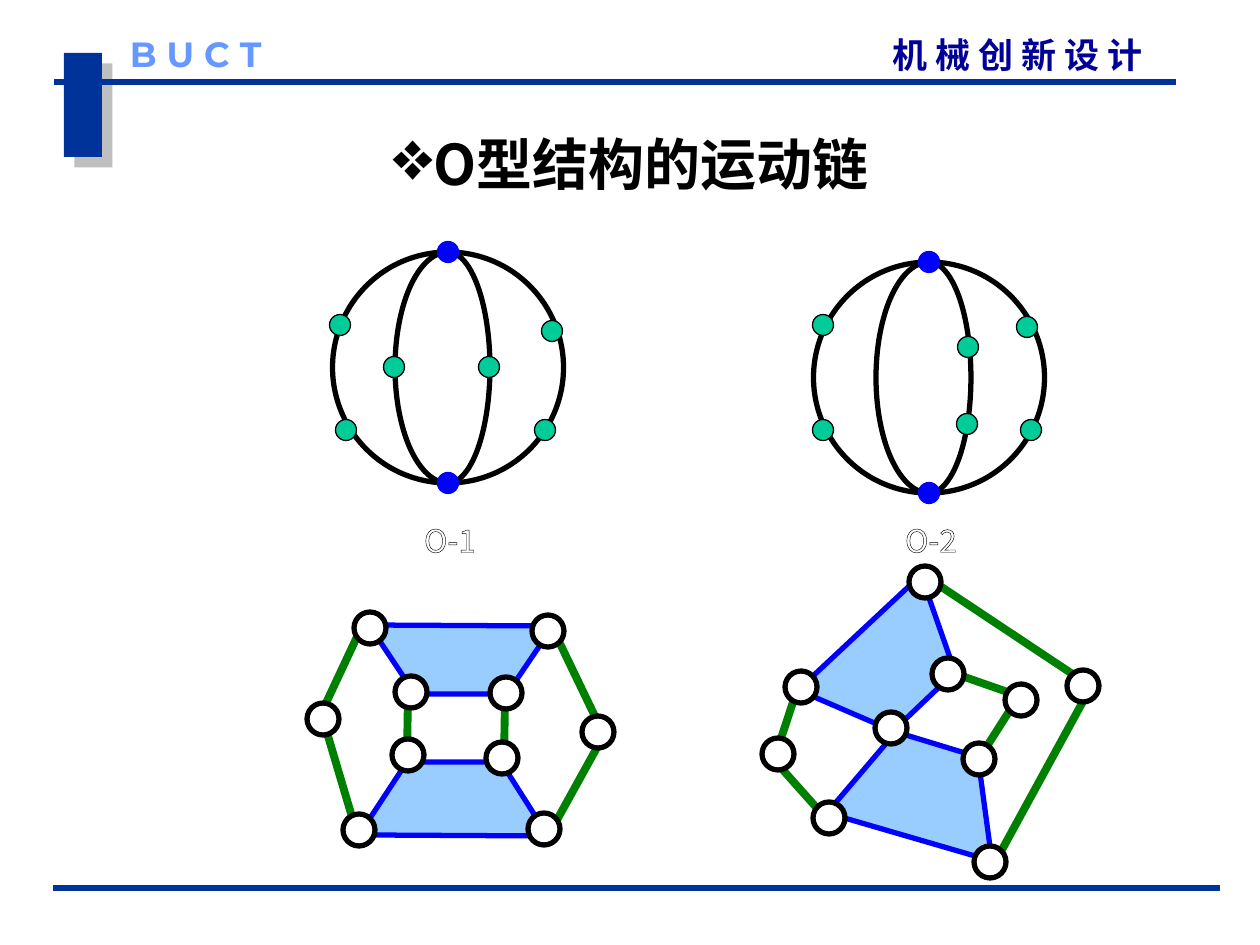
"""Build the slide on kinematic chains of the O-type structure."""
from lxml import etree
from pptx import Presentation
from pptx.dml.color import RGBColor
from pptx.enum.shapes import MSO_CONNECTOR as MC, MSO_SHAPE as MS
from pptx.enum.text import MSO_ANCHOR as MA, PP_ALIGN as PA
from pptx.oxml import parse_xml
from pptx.oxml.ns import nsdecls, qn
from pptx.util import Pt

PX = 914400 / 126
COLORS = {
    "navy": "003399", "header": "000099", "sky": "6699FF", "black": "000000",
    "white": "FFFFFF", "blue": "0000FF", "teal": "00CC99", "body": "99CCFF",
    "green": "008000", "shadow": "808080",
}
RGB = {name: RGBColor.from_string(value) for name, value in COLORS.items()}
CJK = "Noto Sans CJK SC"


def emu(*lengths):
    return [round(v * PX) for v in lengths]


def style(s, fill, line, width):
    if hasattr(s, "fill"):
        s.shadow.inherit = False
        if fill:
            s.fill.solid()
            s.fill.fore_color.rgb = RGB[fill]
        else:
            s.fill.background()
    else:
        etree.SubElement(s._element.spPr, qn("a:effectLst"))
    if line:
        s.line.color.rgb = RGB[line]
        s.line.width = Pt(width)
    else:
        s.line.fill.background()


prs = Presentation()
prs.slide_width, prs.slide_height = emu(1260, 945)
slide = prs.slides.add_slide(prs.slide_layouts[6])
shapes = slide.shapes

s = shapes.add_shape(MS.RECTANGLE, *emu(64, 53, 38, 104))
style(s, "navy", None, 0)
s._element.spPr.find(qn("a:effectLst")).append(parse_xml(
    f'<a:outerShdw {nsdecls("a")} dist="{Pt(8.5)}" dir="2700000" algn="ctr" rotWithShape="0">'
    f'<a:srgbClr val="{COLORS["shadow"]}"><a:alpha val="50000"/></a:srgbClr></a:outerShdw>'))

texts = [
    ("机 械 创 新 设 计", (893, 33, 300, 42), 20, CJK, "header", True, PA.LEFT),
    ("B U C T", (130, 32, 179, 42), 20, "Montserrat", "sky", True, PA.LEFT),
    ("O型结构的运动链", (64, 84, 1134, 158), 32, CJK, "black", True, PA.CENTER),
    ("O-1", (400, 521, 100, 46), 18, CJK, "white", False, PA.CENTER),
    ("O-2", (881, 521, 100, 46), 18, CJK, "white", False, PA.CENTER),
]
for text, box, size, font, color, bold, align in texts:
    tf = shapes.add_textbox(*emu(*box)).text_frame
    tf.margin_left = tf.margin_right = tf.margin_top = tf.margin_bottom = 0
    tf.word_wrap = True
    tf.text = text
    p = tf.paragraphs[0]
    p.alignment = align
    if size == 32:
        tf.vertical_anchor = MA.MIDDLE
        pPr = p._p.get_or_add_pPr()
        pPr.set("marL", "0")
        pPr.set("indent", "0")
        bu_color = etree.SubElement(pPr, qn("a:buClr"))
        etree.SubElement(bu_color, qn("a:srgbClr"), val=COLORS["black"])
        etree.SubElement(pPr, qn("a:buSzPct"), val="125000")
        etree.SubElement(pPr, qn("a:buChar"), char="❖")
    r = p.runs[0]
    r.font.size = Pt(size)
    r.font.name = font
    r.font.bold = bold
    r.font.color.rgb = RGB[color]
    rPr = r._r.get_or_add_rPr()
    rPr.find(qn("a:latin")).addnext(rPr.makeelement(qn("a:ea"), {"typeface": font}))
    if color == "white":
        rPr.insert(0, parse_xml(
            f'<a:ln {nsdecls("a")} w="{Pt(0.75)}"><a:solidFill>'
            f'<a:srgbClr val="{COLORS["black"]}"/></a:solidFill></a:ln>'))

graphs = [
    (448, 252, [(489, 367), (394, 367), (545, 430), (552, 331), (346, 430), (340, 325)]),
    (929, 262, [(1031, 430), (1027, 327), (967, 424), (968, 347), (823, 430), (823, 325)]),
]
diameter, dot = 231, 21
for cx, top, greens in graphs:
    s = shapes.add_shape(MS.OVAL, *emu(cx - diameter / 2, top, diameter, diameter))
    style(s, "white", "black", 3)
    for radius, start, end in [(42, 162, 54), (53, 54, 162)]:
        s = shapes.add_shape(MS.ARC, *emu(cx - radius, top, 2 * radius, diameter))
        s.adjustments[0], s.adjustments[1] = start, end
        style(s, None, "black", 3)
    poles = [(cx, top), (cx, top + diameter)]
    for dots, fill, line in [(poles, "blue", "blue"), (greens, "teal", "black")]:
        for x, y in dots:
            s = shapes.add_shape(MS.OVAL, *emu(x - dot / 2, y - dot / 2, dot, dot))
            style(s, fill, line, 0.75)

chains = [
    {
        "bodies": [[(369, 625), (415, 694), (507, 694), (553, 626)],
                   [(548, 836), (501, 762), (407, 762), (359, 835)]],
        "links": [(358, 837, 320, 709), (364, 622, 320, 716), (604, 735, 553, 629),
                  (604, 735, 547, 838), (505, 699, 504, 761), (408, 696, 407, 759)],
        "joints": [(370, 628), (408, 755), (411, 692), (506, 693), (502, 758),
                   (544, 829), (548, 631), (598, 732), (323, 719), (359, 830)],
    },
    {
        "bodies": [[(992, 861), (978, 757), (896, 732), (827, 813)],
                   [(798, 690), (893, 731), (955, 672), (921, 575)]],
        "links": [(953, 673, 1019, 696), (975, 765, 1019, 696), (774, 760, 824, 816),
                  (774, 760, 796, 693), (998, 857, 1092, 685), (919, 572, 1092, 687)],
        "joints": [(948, 674), (979, 759), (1021, 700), (891, 728), (829, 818),
                   (801, 687), (778, 754), (1083, 686), (990, 862), (925, 582)],
    },
]
joint = 32
rules = [(54, 82, 1176, 82), (53, 888, 1220, 888)]
for x1, y1, x2, y2 in rules:
    s = shapes.add_connector(MC.STRAIGHT, *emu(x1, y1, x2, y2))
    style(s, None, "navy", 3)
for chain in chains:
    for corners in chain["bodies"]:
        builder = shapes.build_freeform(*corners[0], scale=PX)
        builder.add_line_segments(corners[1:], close=True)
        style(builder.convert_to_shape(), "body", "blue", 3)
    for ends in chain["links"]:
        style(shapes.add_connector(MC.STRAIGHT, *emu(*ends)), None, "green", 4.5)
    for x, y in chain["joints"]:
        s = shapes.add_shape(MS.OVAL, *emu(x - joint / 2, y - joint / 2, joint, joint))
        style(s, "white", "black", 3)

prs.save("out.pptx")
